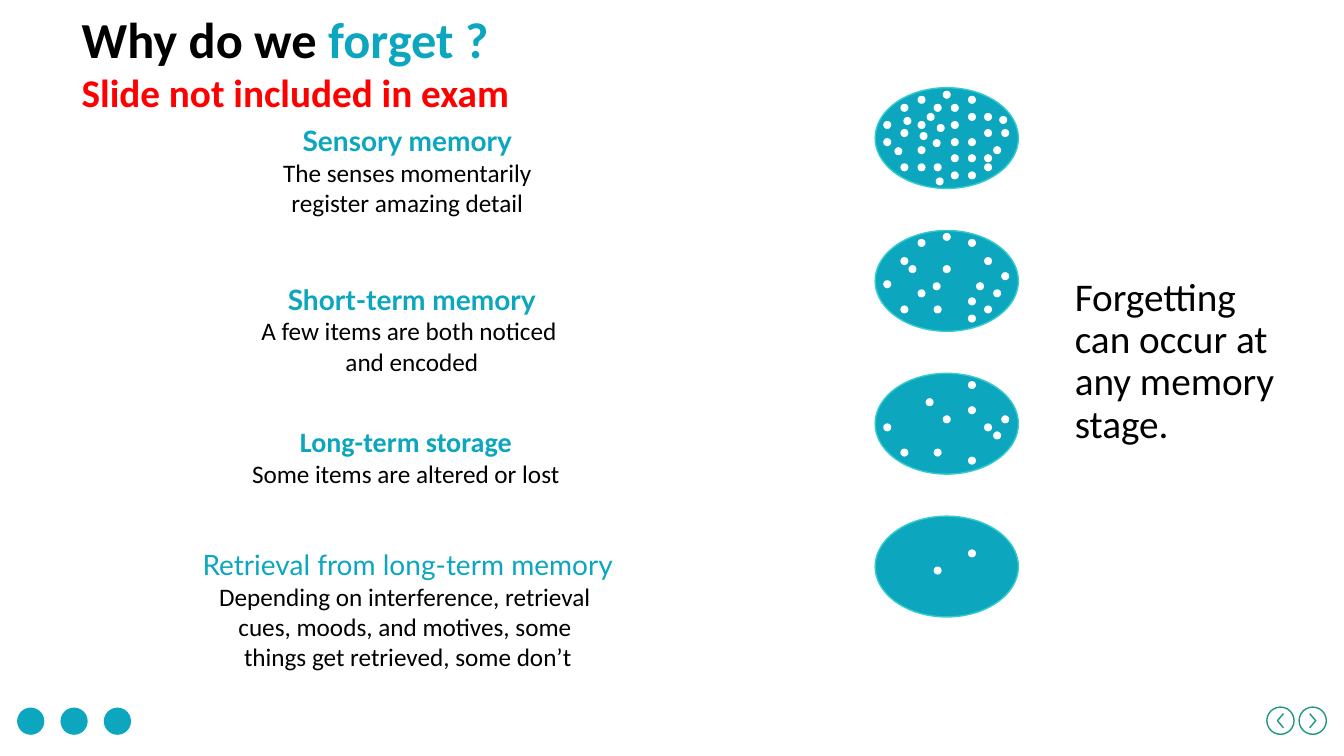
from dataclasses import dataclass
from lxml import etree
from pptx import Presentation
from pptx.dml.color import RGBColor
from pptx.enum.shapes import MSO_SHAPE as Shape
from pptx.enum.text import MSO_ANCHOR as Anchor, MSO_AUTO_SIZE as AutoSize, PP_ALIGN as Align
from pptx.oxml.ns import qn
from pptx.util import Inches, Pt


@dataclass(frozen=True)
class Theme:
    teal: str = "0CA6BF"
    rim: str = "33CCCC"
    green: str = "1D9A78"
    red: str = "FF0000"
    black: str = "000000"
    white: str = "FFFFFF"
    body_font: str = "Calibri"
    heading_font: str = "Lato"
    title_size: int = 36
    remark_size: int = 28
    heading_size: int = 20
    detail_size: int = 18


THEME = Theme()

# Content: heading, heading font, heading bold, detail lines, box (left, top, width, height)
MEMORY_STAGES = [
    ("Sensory memory", THEME.heading_font, True,
     ["The senses momentarily register amazing detail"], (2.32, 1.18, 3.44, 1.04)),
    ("Short-term memory", THEME.heading_font, True,
     ["A few items are both noticed ", "and encoded"], (0.75, 2.75, 6.67, 1.04)),
    ("Long-term storage", THEME.body_font, True,
     ["Some items are altered or lost"], (0.69, 4.16, 6.67, 0.74)),
    ("Retrieval from long-term memory", THEME.heading_font, False,
     ["Depending on interference, retrieval ", "cues, moods, and motives, some ",
      "things get retrieved, some don’t"], (0.71, 5.38, 6.67, 1.35)),
]
CONCLUSION = "Forgetting can occur at any memory stage."

# Items held at each stage: height on the slide -> left edges
ITEMS_BY_STAGE = [
    {0.9: [9.35], 0.95: [9.1, 9.6], 1.03: [8.93, 9.26, 9.43], 1.12: [9.19, 9.6, 9.76],
     1.15: [9.91], 1.16: [8.96], 1.2: [8.76, 9.1, 9.43], 1.23: [9.29],
     1.28: [8.93, 9.76, 9.93], 1.31: [9.12], 1.37: [8.76, 9.43, 9.6], 1.38: [9.25],
     1.45: [9.1, 9.85], 1.46: [8.87], 1.53: [9.43, 9.6, 9.76],
     1.62: [8.93, 9.1, 9.26, 9.76], 1.7: [9.43, 9.6], 1.76: [9.28]},
    {2.31: [9.35], 2.37: [9.1, 9.6], 2.55: [8.93, 9.76], 2.63: [9.01, 9.35],
     2.7: [9.93], 2.78: [8.76], 2.8: [9.25, 9.68], 2.87: [9.1, 9.85],
     2.95: [9.6], 3.03: [8.93, 9.26, 9.76], 3.12: [9.6]},
    {3.78: [9.6], 3.95: [9.18], 4.03: [9.6], 4.12: [9.35, 9.93],
     4.2: [8.76, 9.76], 4.28: [9.85], 4.45: [8.93, 9.26], 4.53: [9.6]},
    {5.45: [9.6], 5.62: [9.26]},
]
STORE_LEFT, STORE_TOP, STORE_PITCH = 8.68, 0.87, 1.417
STORE_SIZE = (1.42, 1)
ITEM_SIZE = 0.08


def rgb(color):
    return RGBColor.from_string(color)


def add_run(paragraph, text, size, color, font=THEME.body_font, bold=False):
    run = paragraph.add_run()
    run.text = text
    run.font.size = Pt(size)
    run.font.name = font
    run.font.bold = bold
    run.font.color.rgb = rgb(color)


def place(shape, left, top, width, height):
    shape.left, shape.top = Inches(left), Inches(top)
    shape.width, shape.height = Inches(width), Inches(height)
    frame = shape.text_frame
    frame.word_wrap = True
    frame.auto_size = AutoSize.NONE
    frame.vertical_anchor = Anchor.TOP
    return frame


def style(shape, fill=None, line=None, line_width=1):
    shape.shadow.inherit = False
    if fill:
        shape.fill.solid()
        shape.fill.fore_color.rgb = rgb(fill)
    else:
        shape.fill.background()
    if line:
        shape.line.color.rgb = rgb(line)
        shape.line.width = Pt(line_width)
    else:
        shape.line.fill.background()


def add_round(slide, preset, left, top, width, height, **look):
    style(slide.shapes.add_shape(preset, Inches(left), Inches(top),
                                 Inches(width), Inches(height)), **look)


def add_arrow_button(slide, center_x, direction):
    center_y, ring, reach, rise = 7.15, 0.27, 0.03, 0.07
    add_round(slide, Shape.OVAL, center_x - ring / 2, center_y - ring / 2, ring, ring,
              line=THEME.green)
    tail = center_x - direction * reach
    builder = slide.shapes.build_freeform(
        Inches(tail), Inches(center_y - rise))
    builder.add_line_segments([(Inches(center_x + direction * reach), Inches(center_y)),
                               (Inches(tail), Inches(center_y + rise))], close=False)
    style(builder.convert_to_shape(), line=THEME.green)


def main():
    deck = Presentation()
    deck.slide_width, deck.slide_height = Inches(13.33), Inches(7.5)
    slide = deck.slides.add_slide(deck.slide_layouts[1])

    # Title
    title = place(slide.shapes.title, 0.71, 0.03, 9.43, 1.18).paragraphs[0]
    title.alignment = Align.LEFT
    add_run(title, "Why do we ", THEME.title_size, THEME.black, bold=True)
    add_run(title, "forget ? ", THEME.title_size, THEME.teal, bold=True)
    title.add_line_break()
    add_run(title, "Slide not included in exam", THEME.remark_size, THEME.red, bold=True)

    # Navigation marks
    add_arrow_button(slide, 12.7, -1)
    add_arrow_button(slide, 13.02, 1)
    for step in range(3):
        add_round(slide, Shape.OVAL, 0.17 + 0.43 * step, 7.02, 0.27, 0.27, fill=THEME.teal)

    # Memory stores with the items that remain
    for stage, items in enumerate(ITEMS_BY_STAGE):
        add_round(slide, Shape.OVAL, STORE_LEFT, STORE_TOP + STORE_PITCH * stage, *STORE_SIZE,
                  fill=THEME.teal, line=THEME.rim)
        for top, lefts in items.items():
            for left in lefts:
                add_round(slide, Shape.FLOWCHART_CONNECTOR, left, top, ITEM_SIZE, ITEM_SIZE,
                          fill=THEME.white)

    # Conclusion
    conclusion = place(slide.placeholders[1], 10.56, 2.7, 2.36, 1.82).paragraphs[0]
    properties = conclusion._p.get_or_add_pPr()
    properties.set("marL", "0")
    properties.set("indent", "0")
    etree.SubElement(properties, qn("a:buNone"))
    conclusion.line_spacing = 0.9
    conclusion.space_before = Pt(0)
    add_run(conclusion, CONCLUSION, THEME.remark_size, THEME.black)

    # Stage descriptions
    for heading, heading_font, bold, details, box in MEMORY_STAGES:
        frame = place(slide.shapes.add_textbox(0, 0, 0, 0), *box)
        lead = frame.paragraphs[0]
        lead.alignment = Align.CENTER
        add_run(lead, heading, THEME.heading_size, THEME.teal, heading_font, bold)
        for detail in details:
            line = frame.add_paragraph()
            line.alignment = Align.CENTER
            add_run(line, detail, THEME.detail_size, THEME.black)

    deck.save("out.pptx")


if __name__ == "__main__":
    main()
